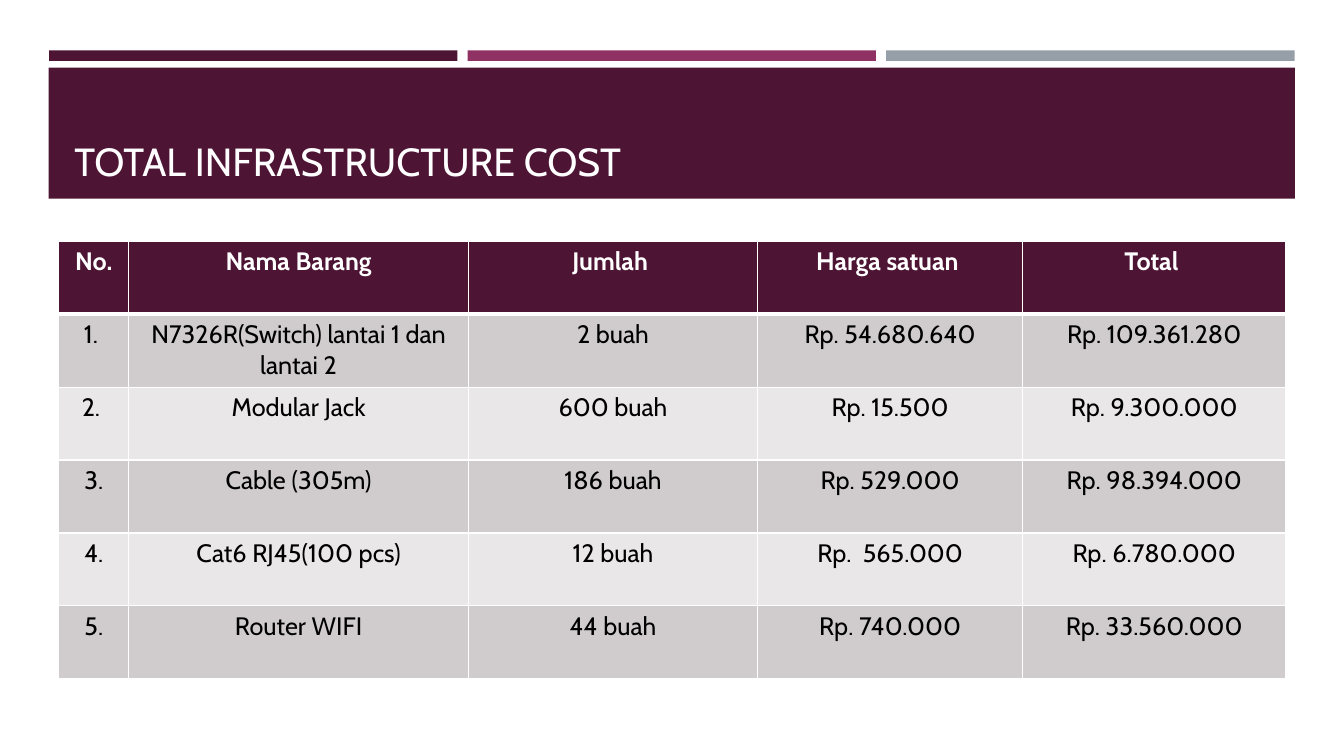
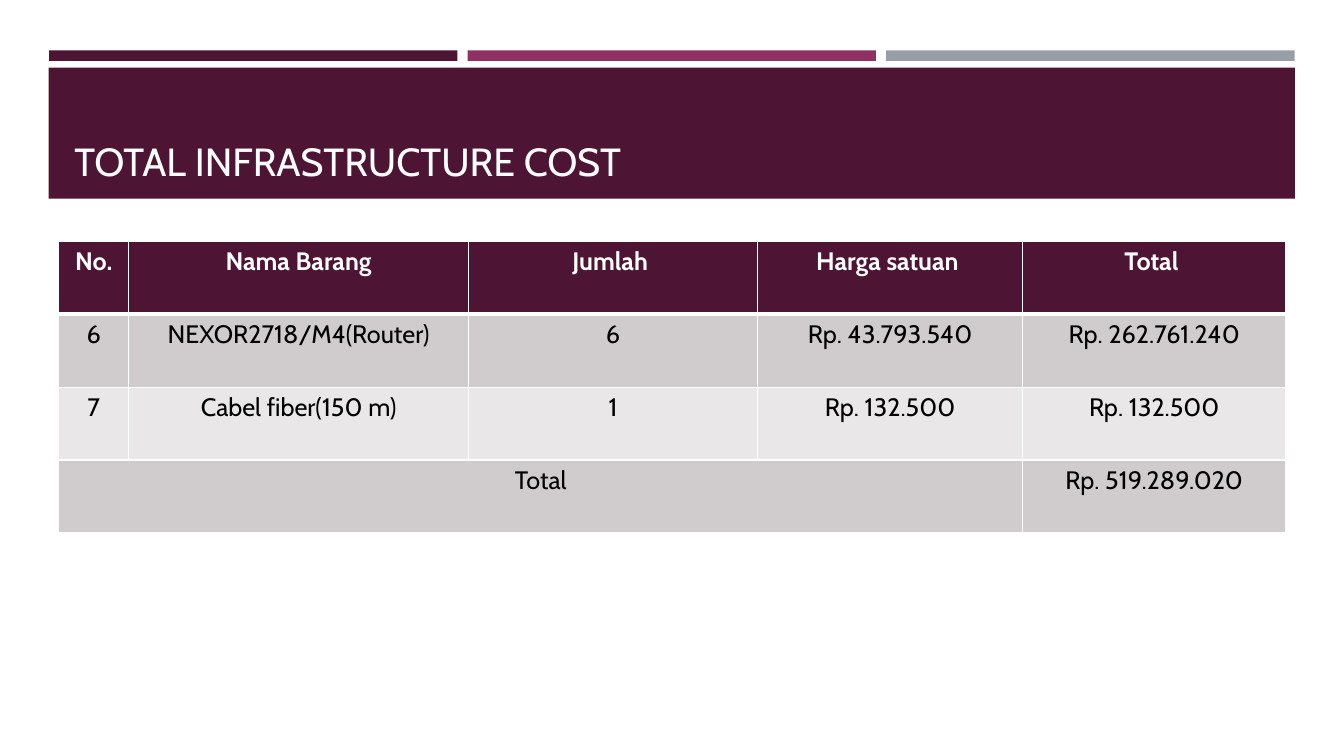
from dataclasses import dataclass

from lxml import etree
from pptx import Presentation
from pptx.dml.color import RGBColor
from pptx.enum.shapes import MSO_SHAPE
from pptx.enum.text import MSO_ANCHOR, MSO_AUTO_SIZE, PP_ALIGN
from pptx.oxml.ns import qn
from pptx.slide import Slide
from pptx.table import _Cell
from pptx.util import Pt

RECTANGLE = MSO_SHAPE.RECTANGLE
BOTTOM = MSO_ANCHOR.BOTTOM
TOP = MSO_ANCHOR.TOP
NO_AUTOFIT = MSO_AUTO_SIZE.NONE
LEFT = PP_ALIGN.LEFT
CENTER = PP_ALIGN.CENTER
TITLE_ONLY = 5


@dataclass(frozen=True)
class Theme:
    plum: str = "4D1434"
    magenta: str = "903163"
    gray: str = "969FA7"
    white: str = "FFFFFF"
    black: str = "000000"
    row_dark: str = "D0CCCE"
    row_light: str = "E9E7E8"
    font: str = "Cabin"
    title_size: float = 28
    table_size: float = 18
    thin_border: float = 1
    thick_border: float = 3


@dataclass(frozen=True)
class Box:
    left: float
    top: float
    width: float
    height: float
    color: str = ""


@dataclass(frozen=True)
class CostPage:
    title: str
    rows: list[tuple[str, ...]]
    has_total: bool = False


THEME = Theme()
STRIPE_LEFT, STRIPE_WIDTH, STRIPE_GAP = 35, 291.7, 7.3
STRIPES = [
    Box(STRIPE_LEFT + index * (STRIPE_WIDTH + STRIPE_GAP), 36, STRIPE_WIDTH, 7.5, color)
    for index, color in enumerate((THEME.plum, THEME.magenta, THEME.gray))
]
TITLE_BAND = Box(34.8, 48.4, 890.2, 93.6, THEME.plum)
TITLE_BOX = Box(46, 55.5, 868.4, 80)
TABLE_LEFT, TABLE_TOP, ROW_HEIGHT = 42, 172.4, 52.1
COLUMN_WIDTHS = (50, 242.6, 206.6, 189.4, 187.9)
HEADER = ("No.", "Nama Barang", "Jumlah ", "Harga satuan ", "Total ")
TITLE = "TOTAL INFRASTRUCTURE COST"

PAGES = [
    CostPage(TITLE, [
        ("1. ", "N7326R(Switch) lantai 1 dan lantai 2", "2 buah", "Rp. 54.680.640", "Rp. 109.361.280"),
        ("2. ", "Modular Jack", "600 buah", "Rp. 15.500", "Rp. 9.300.000"),
        ("3.", "Cable (305m)", "186 buah", "Rp. 529.000", "Rp. 98.394.000"),
        ("4.", "Cat6 RJ45(100 pcs)", "12 buah", "Rp.  565.000", "Rp. 6.780.000"),
        ("5.", "Router WIFI", "44 buah", "Rp. 740.000", "Rp. 33.560.000"),
    ]),
    CostPage(TITLE, [
        ("6", "NEXOR2718/M4(Router)", "6", "Rp. 43.793.540", "Rp. 262.761.240"),
        ("7", "Cabel fiber(150 m)", "1", "Rp. 132.500", "Rp. 132.500"),
        ("Total", "", "", "", "Rp. 519.289.020"),
    ], has_total=True),
]


def apply_format(target: object, values: dict) -> None:
    for name, value in values.items():
        setattr(target, name, value)


def format_text(paragraph, size: float, color: str, bold: bool, alignment) -> None:
    paragraph.alignment = alignment
    apply_format(paragraph.font, {"name": THEME.font, "size": Pt(size), "bold": bold})
    paragraph.font.color.rgb = RGBColor.from_string(color)


def add_block(slide: Slide, box: Box) -> None:
    block = slide.shapes.add_shape(
        RECTANGLE, Pt(box.left), Pt(box.top), Pt(box.width), Pt(box.height)
    )
    block.shadow.inherit = False
    block.fill.solid()
    block.fill.fore_color.rgb = RGBColor.from_string(box.color)
    block.line.fill.background()


def add_title(slide: Slide, text: str) -> None:
    title = slide.shapes.title
    apply_format(title, {
        "left": Pt(TITLE_BOX.left), "top": Pt(TITLE_BOX.top),
        "width": Pt(TITLE_BOX.width), "height": Pt(TITLE_BOX.height),
    })
    frame = title.text_frame
    frame.text = text
    apply_format(frame, {
        "word_wrap": True, "auto_size": NO_AUTOFIT, "vertical_anchor": BOTTOM,
    })
    format_text(frame.paragraphs[0], THEME.title_size, THEME.white, False, LEFT)
    slide.shapes.element.append(title.element)


def set_borders(cell: _Cell, widths: dict[str, float]) -> None:
    properties = cell._tc.get_or_add_tcPr()
    for side, width in widths.items():
        line = etree.SubElement(properties, qn(f"a:{side}"), w=str(int(Pt(width))))
        fill = etree.SubElement(line, qn("a:solidFill"))
        etree.SubElement(fill, qn("a:srgbClr"), val=THEME.white)


def format_cell(cell: _Cell, text: str, row: int) -> None:
    is_header = row == 0
    set_borders(cell, {
        "lnL": THEME.thin_border,
        "lnR": THEME.thin_border,
        "lnT": THEME.thick_border if row == 1 else THEME.thin_border,
        "lnB": THEME.thick_border if is_header else THEME.thin_border,
    })
    body_color = THEME.row_dark if row % 2 else THEME.row_light
    cell.fill.solid()
    cell.fill.fore_color.rgb = RGBColor.from_string(THEME.plum if is_header else body_color)
    cell.vertical_anchor = TOP
    cell.text = text
    text_color = THEME.white if is_header else THEME.black
    format_text(cell.text_frame.paragraphs[0], THEME.table_size, text_color, is_header, CENTER)


def add_cost_table(slide: Slide, page: CostPage) -> None:
    rows = [HEADER, *page.rows]
    table = slide.shapes.add_table(
        len(rows), len(HEADER), Pt(TABLE_LEFT), Pt(TABLE_TOP),
        Pt(sum(COLUMN_WIDTHS)), Pt(ROW_HEIGHT * len(rows)),
    ).table
    table.horz_banding = False
    for column, width in zip(table.columns, COLUMN_WIDTHS):
        column.width = Pt(width)
    for row_index, texts in enumerate(rows):
        table.rows[row_index].height = Pt(ROW_HEIGHT)
        for column_index, text in enumerate(texts):
            format_cell(table.cell(row_index, column_index), text, row_index)
    if page.has_total:
        last = len(rows) - 1
        table.cell(last, 0).merge(table.cell(last, len(HEADER) - 2))


def main() -> None:
    presentation = Presentation()
    apply_format(presentation, {"slide_width": Pt(960), "slide_height": Pt(540)})
    for page in PAGES:
        slide = presentation.slides.add_slide(presentation.slide_layouts[TITLE_ONLY])
        for box in (*STRIPES, TITLE_BAND):
            add_block(slide, box)
        add_title(slide, page.title)
        add_cost_table(slide, page)
    presentation.save("out.pptx")


if __name__ == "__main__":
    main()
